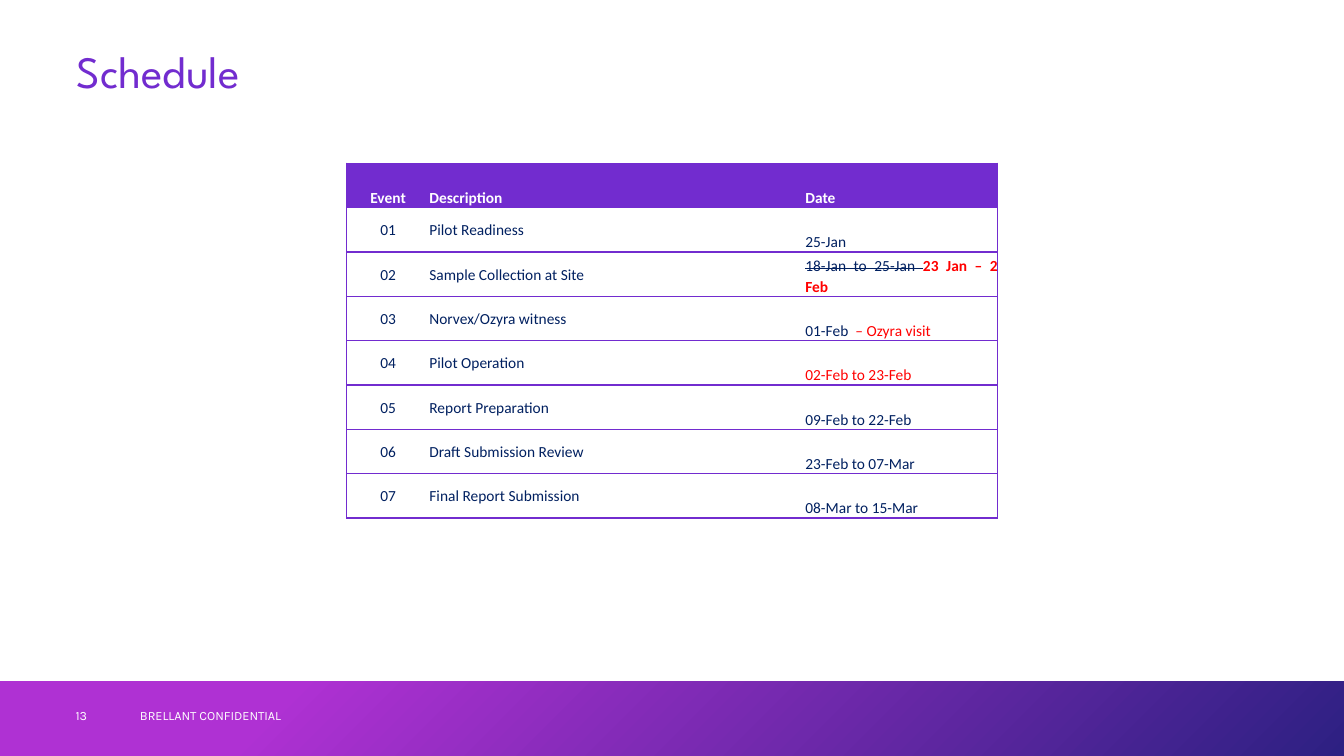
"""Build the pilot schedule slide."""
from dataclasses import dataclass

from lxml import etree
from pptx import Presentation
from pptx.dml.color import RGBColor
from pptx.enum import shapes, text
from pptx.oxml import ns
from pptx.util import Pt


@dataclass(frozen=True)
class Theme:
    violet: str = "722CCF"
    magenta: str = "AF31D3"
    indigo: str = "2D2082"
    navy: str = "002060"
    red: str = "FF0000"
    white: str = "FFFFFF"
    title_size: int = 32
    table_size: int = 11
    footer_size: int = 9


theme = Theme()


def add_span(para, words, name, size, color, bold=False, strike=False):
    span = para.add_run()
    span.text = words
    for key, value in {"name": name, "size": Pt(size), "bold": bold}.items():
        setattr(span.font, key, value)
    span.font.color.rgb = RGBColor.from_string(color)
    if strike:
        span._r.get_or_add_rPr().set("strike", "sngStrike")


def draw_border(cell, side, color):
    line = etree.SubElement(cell._tc.get_or_add_tcPr(), ns.qn(f"a:ln{side}"))
    if color:
        line.set("w", str(Pt(1)))
        fill = etree.SubElement(line, ns.qn("a:solidFill"))
        etree.SubElement(fill, ns.qn("a:srgbClr")).set("val", color)
    else:
        etree.SubElement(line, ns.qn("a:noFill"))


deck = Presentation()
deck.slide_width, deck.slide_height = Pt(960), Pt(540)
page = deck.slides.add_slide(deck.slide_layouts[6])

band = page.shapes.add_shape(
    shapes.MSO_SHAPE.RECTANGLE, Pt(0), Pt(486.6), Pt(960), Pt(53.4))
band.shadow.inherit = False
band.line.fill.background()
band.fill.gradient()
band.fill.gradient_angle = 315
stops = [(0.21, theme.magenta), (1, theme.indigo)]
for stop, (position, color) in zip(band.fill.gradient_stops, stops):
    stop.position = position
    stop.color.rgb = RGBColor.from_string(color)

labels = [
    ("Schedule", (54.72, 28.8, 850, 48.24), 0, 0.9,
     "League Spartan", theme.title_size, theme.violet),
    ("BRELLANT CONFIDENTIAL", (92.88, 496.8, 324, 28.8), 7.2, 1,
     "Karla", theme.footer_size, theme.white),
    ("13", (54, 496.8, 38.88, 28.8), 0, 1,
     "Karla", theme.footer_size, theme.white),
]
for words, place, inset, spacing, name, size, color in labels:
    box = page.shapes.add_textbox(*map(Pt, place))
    frame_format = {"word_wrap": True, "margin_left": Pt(inset),
                    "vertical_anchor": text.MSO_ANCHOR.MIDDLE}
    for key, value in frame_format.items():
        setattr(box.text_frame, key, value)
    para = box.text_frame.paragraphs[0]
    para.line_spacing = spacing
    add_span(para, words, name, size, color)

events = [
    ("Pilot Readiness", [("25-Jan", theme.navy)]),
    ("Sample Collection at Site",
     [("18-Jan to 25-Jan ", theme.navy, False, True),
      ("23 Jan – 2 Feb ", theme.red, True)]),
    ("Norvex/Ozyra witness",
     [("01-Feb ", theme.navy), (" – Ozyra visit", theme.red)]),
    ("Pilot Operation", [("02-Feb to 23-Feb", theme.red)]),
    ("Report Preparation", [("09-Feb to 22-Feb", theme.navy)]),
    ("Draft Submission Review", [("23-Feb to 07-Mar", theme.navy)]),
    ("Final Report Submission", [("08-Mar to 15-Mar", theme.navy)]),
]
rows = [[[(head, theme.white, True)] for head in ("Event", "Description", "Date")]]
for number, (description, dates) in enumerate(events, 1):
    rows.append([[(f"{number:02}", theme.navy)], [(description, theme.navy)], dates])

widths = [59.04, 268.56, 137.52]
row_height = 31.68
schedule = page.shapes.add_table(
    len(rows), len(widths), Pt(247.68), Pt(116.64),
    Pt(sum(widths)), Pt(row_height * len(rows))).table
schedule.horz_banding = False
for column, width in zip(schedule.columns, widths):
    column.width = Pt(width)

outer_sides = ["LTB", "TB", "RTB"]
for r, row in enumerate(rows):
    schedule.rows[r].height = Pt(row_height)
    for c, spans in enumerate(row):
        cell = schedule.cell(r, c)
        low = r == 0 or c == 2
        cell_format = {
            "margin_left": 0, "margin_right": 0, "margin_top": 0, "margin_bottom": 0,
            "vertical_anchor": text.MSO_ANCHOR.BOTTOM if low else text.MSO_ANCHOR.MIDDLE}
        for key, value in cell_format.items():
            setattr(cell, key, value)
        for side in "LRTB":
            draw_border(cell, side, theme.violet if side in outer_sides[c] else None)
        if r == 0:
            cell.fill.solid()
            cell.fill.fore_color.rgb = RGBColor.from_string(theme.violet)
        else:
            cell.fill.background()
        para = cell.text_frame.paragraphs[0]
        para_format = {
            "alignment": text.PP_ALIGN.CENTER if c == 0 else text.PP_ALIGN.JUSTIFY,
            "line_spacing": 1.07, "space_after": Pt(8)}
        for key, value in para_format.items():
            setattr(para, key, value)
        for words, *style in spans:
            add_span(para, words, "Calibri", theme.table_size, *style)

deck.save("out.pptx")
